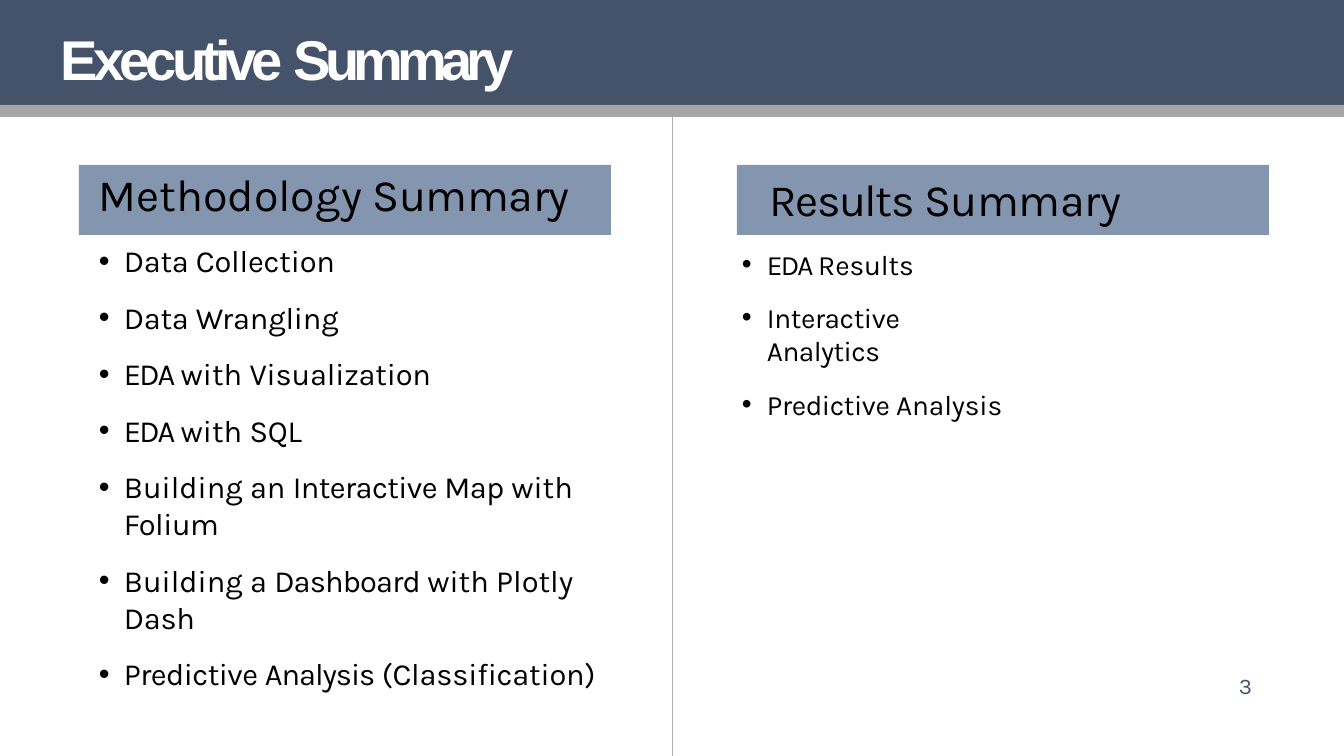
from typing import NamedTuple

from lxml import etree
from pptx import Presentation
from pptx import util as u
from pptx.dml.color import RGBColor
from pptx.enum import shapes, text
from pptx.oxml.ns import qn

EMU_PER_PX = 914400 / 100.8
SLIDE_WIDTH, SLIDE_HEIGHT = 1344, 756
BAR_BOTTOM, STRIP_BOTTOM = 105, 117
HEADING_TOP, HEADING_WIDTH, HEADING_HEIGHT = 165, 532, 70

NAVY = RGBColor(0x44, 0x53, 0x6A)
STEEL = RGBColor(0x84, 0x96, 0xAF)
GREY = RGBColor(0xA6, 0xA6, 0xA6)
DIVIDER_GREY = RGBColor(0xAE, 0xAB, 0xAB)
BLACK = RGBColor(0, 0, 0)
WHITE = RGBColor(0xFF, 0xFF, 0xFF)


class Piece(NamedTuple):
    """Words sharing one letter spacing, in points."""
    words: str
    spacing: float = 0


class Box(NamedTuple):
    left: int
    top: int
    width: int
    height: int


class Column(NamedTuple):
    heading: list[Piece]
    heading_left: int
    inset_left: int
    inset_top: int
    list_box: Box
    size: int
    items: list[list[Piece]]


COLUMNS = [
    Column(
        [Piece("Methodology ", -0.1), Piece("Summary", -0.3)], 79, 20, 2,
        Box(98, 221, 548, 399), 22,
        [
            [Piece("Data ", -0.2), Piece("Collection", -0.1)],
            [Piece("Data ", -0.2), Piece("Wrangling", -0.1)],
            [Piece("EDA ", -1.4), Piece("with "), Piece("Visualization", -0.1)],
            [Piece("EDA ", -1.4), Piece("with "), Piece("SQL", -0.2)],
            [Piece("Building an "), Piece("Interactive ", -0.4), Piece("Map ", -0.3),
             Piece("with "), Piece("Folium", -0.3)],
            [Piece("Building a "), Piece("Dashboard ", -0.6),
             Piece("with Plotly "), Piece("Dash", -0.2)],
            [Piece("Predictive ", -0.4), Piece("Analysis ", -0.7),
             Piece("(Classification)", -0.1)],
        ],
    ),
    Column(
        [Piece("Results ", -1.1), Piece("Summary", -0.3)], 737, 33, 7,
        Box(741, 226, 265, 162), 20,
        [
            [Piece("EDA ", -1.4), Piece("Results", -0.1)],
            [Piece("Interactive ", -0.3), Piece("Analytics", -0.4)],
            [Piece("Predictive ", -0.3), Piece("Analysis", -0.1)],
        ],
    ),
]


def px(length: int) -> u.Emu:
    return u.Emu(round(length * EMU_PER_PX))


def place(shape, box: Box) -> None:
    shape.left, shape.top, shape.width, shape.height = map(px, box)


def prepare_frame(shape, inset_left: int = 0, inset_top: int = 0):
    frame = shape.text_frame
    frame.word_wrap = True
    frame.auto_size = text.MSO_AUTO_SIZE.NONE
    frame.vertical_anchor = text.MSO_ANCHOR.TOP
    frame.margin_left, frame.margin_top = px(inset_left), px(inset_top)
    frame.margin_right = frame.margin_bottom = 0
    return frame


def write(paragraph, pieces: list[Piece], size: int, color: RGBColor,
          font: str = "Karla", bold: bool = False) -> None:
    paragraph.alignment = text.PP_ALIGN.LEFT
    paragraph.space_before = u.Pt(0)
    paragraph.font.name = font
    paragraph.font.size = u.Pt(size)
    paragraph.font.bold = bold
    paragraph.font.color.rgb = color
    for piece in pieces:
        run = paragraph.add_run()
        run.text = piece.words
        if piece.spacing:
            run.font._element.set("spc", str(round(piece.spacing * 100)))


def add_rectangle(slide, box: Box, color: RGBColor):
    shape = slide.shapes.add_shape(shapes.MSO_SHAPE.RECTANGLE, *map(px, box))
    shape.shadow.inherit = False
    shape.fill.solid()
    shape.fill.fore_color.rgb = color
    shape.line.fill.background()
    return shape


def add_divider(slide) -> None:
    middle = px(SLIDE_WIDTH // 2)
    divider = slide.shapes.add_connector(
        shapes.MSO_CONNECTOR.STRAIGHT, middle, px(STRIP_BOTTOM), middle, px(SLIDE_HEIGHT))
    divider.line.color.rgb = DIVIDER_GREY
    divider.line.width = u.Pt(0.5)
    etree.SubElement(divider._element.spPr, qn("a:effectLst"))


def add_column(slide, column: Column, placeholder) -> None:
    heading = add_rectangle(
        slide, Box(column.heading_left, HEADING_TOP, HEADING_WIDTH, HEADING_HEIGHT), STEEL)
    frame = prepare_frame(heading, column.inset_left, column.inset_top)
    write(frame.paragraphs[0], column.heading, 32, BLACK)

    place(placeholder, column.list_box)
    frame = prepare_frame(placeholder, inset_top=21)
    for index, item in enumerate(column.items):
        paragraph = frame.add_paragraph() if index else frame.paragraphs[0]
        properties = paragraph._p.get_or_add_pPr()
        properties.set("marL", str(px(26)))
        properties.set("indent", str(px(-25)))
        bullet = etree.SubElement(properties, qn("a:buChar"))
        bullet.set("char", "•")
        write(paragraph, item, column.size, BLACK)
        if index:
            paragraph.space_before = u.Pt(14)


def add_title(slide) -> None:
    add_rectangle(slide, Box(0, 0, SLIDE_WIDTH, BAR_BOTTOM), NAVY)
    add_rectangle(slide, Box(0, BAR_BOTTOM, SLIDE_WIDTH, STRIP_BOTTOM - BAR_BOTTOM), GREY)
    title = slide.shapes.title
    place(title, Box(60, 23, 1264, 71))
    frame = prepare_frame(title, 1, 1)
    write(frame.paragraphs[0], [Piece("Executive ", -3.5), Piece("Summary", -4.2)],
          40, WHITE, "Arial", bold=True)
    # Bring the title in front of the bar
    title._element.getparent().append(title._element)


def add_page_number(slide) -> None:
    box = slide.shapes.add_textbox(*map(px, Box(1222, 673, 36, 28)))
    paragraph = prepare_frame(box, inset_left=17).paragraphs[0]
    write(paragraph, [Piece("3", 0.2)], 16, NAVY)
    paragraph.line_spacing = u.Pt(18.4)


def main() -> None:
    presentation = Presentation()
    presentation.slide_width = px(SLIDE_WIDTH)
    presentation.slide_height = px(SLIDE_HEIGHT)
    two_content = presentation.slide_layouts.get_by_name("Two Content")
    slide = presentation.slides.add_slide(two_content)
    add_title(slide)
    add_divider(slide)
    for number, column in enumerate(COLUMNS, start=1):
        add_column(slide, column, slide.placeholders[number])
    add_page_number(slide)
    presentation.save("out.pptx")


if __name__ == "__main__":
    main()
